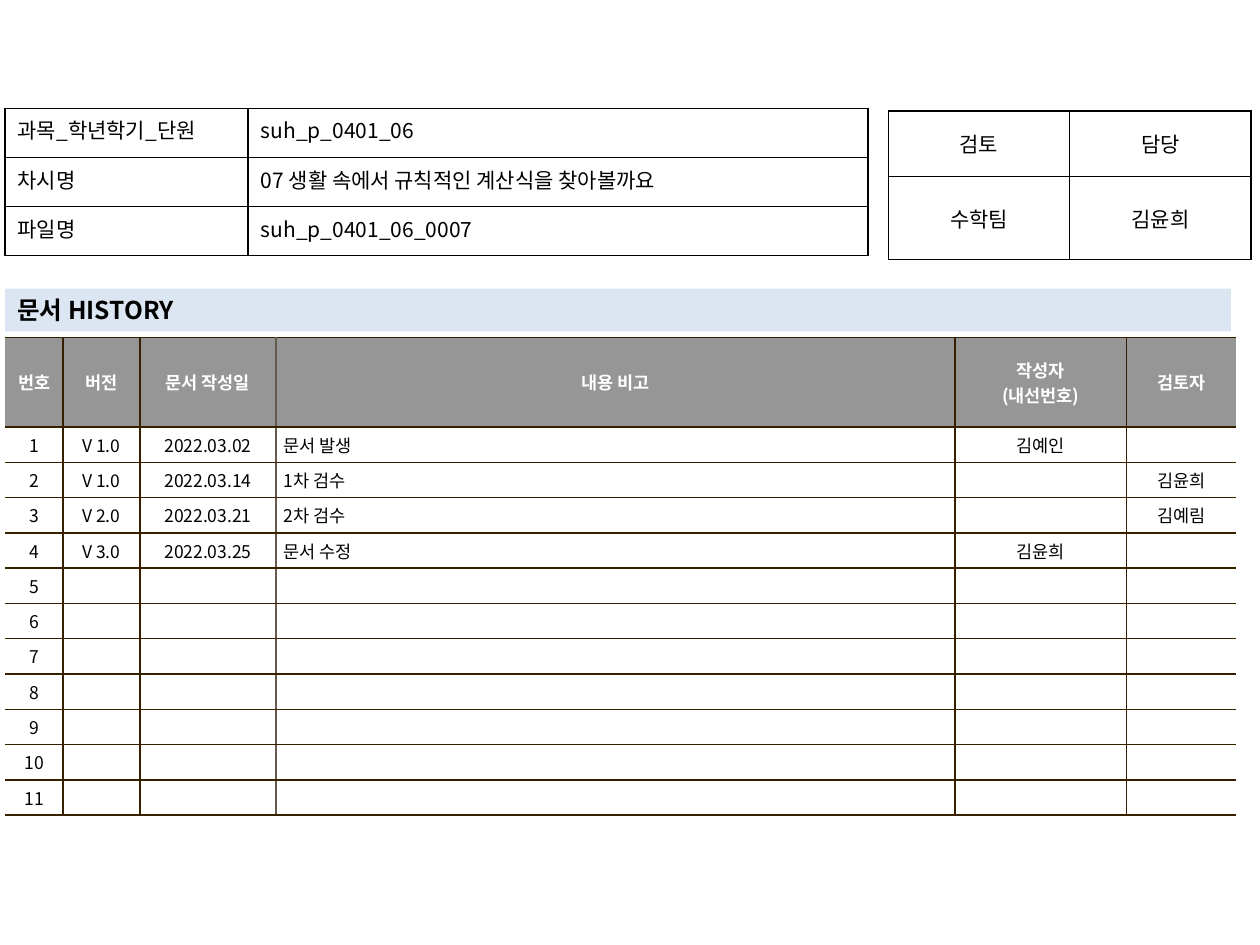
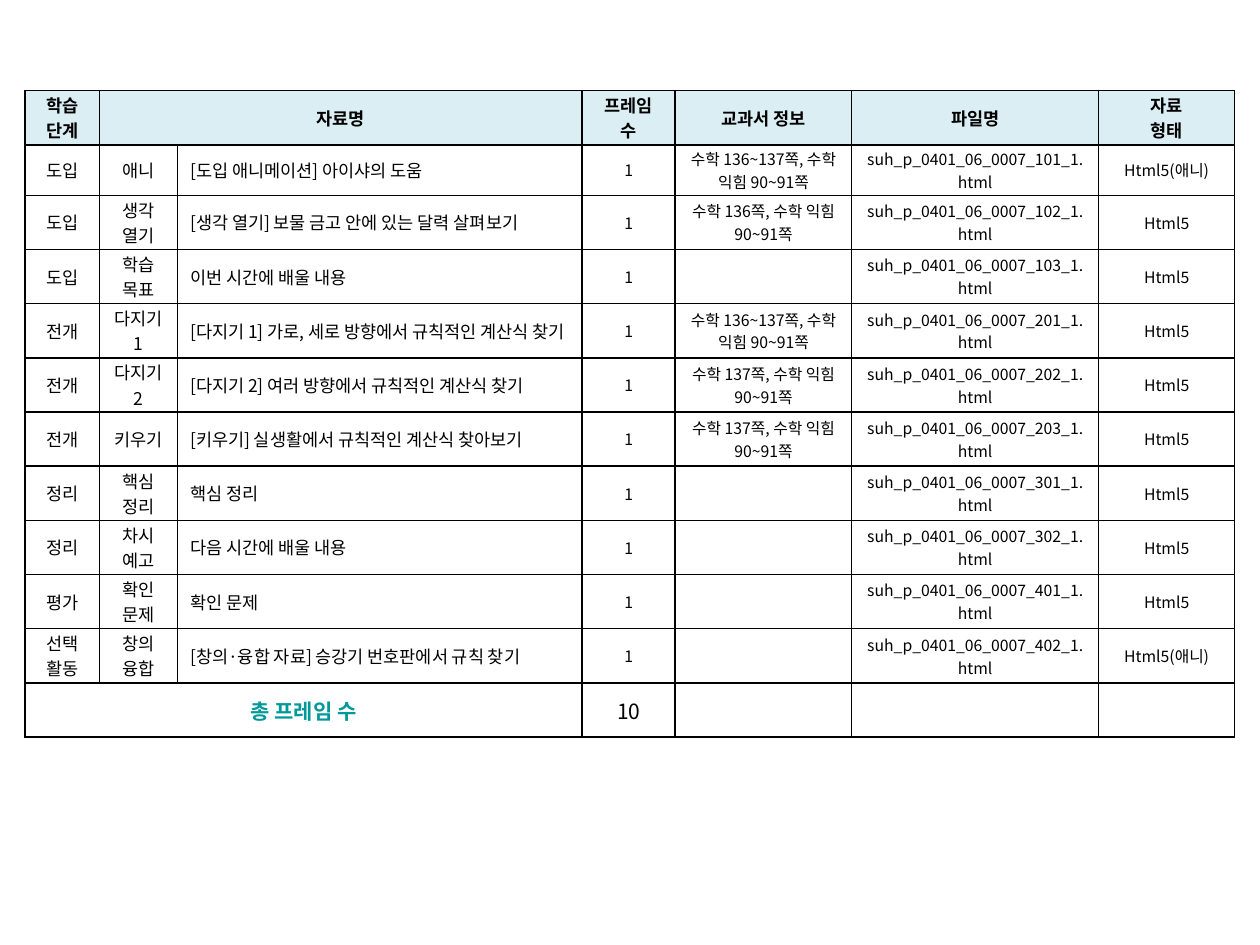
from lxml import etree
from pptx import Presentation
from pptx.dml.color import RGBColor
from pptx.enum.shapes import MSO_SHAPE
from pptx.enum.text import MSO_ANCHOR, PP_ALIGN
from pptx.oxml.ns import qn
from pptx.util import Inches, Pt

LEFT, CENTER, JUSTIFY = PP_ALIGN.LEFT, PP_ALIGN.CENTER, PP_ALIGN.JUSTIFY
TOP, MIDDLE = MSO_ANCHOR.TOP, MSO_ANCHOR.MIDDLE
RECTANGLE = MSO_SHAPE.RECTANGLE

FONT = "Noto Sans CJK KR"
BLACK = RGBColor(0x00, 0x00, 0x00)
WHITE = RGBColor(0xFF, 0xFF, 0xFF)
GREY = RGBColor(0x96, 0x96, 0x96)
BROWN = RGBColor(0x36, 0x20, 0x00)
LIGHT_BROWN = RGBColor(0x64, 0x5B, 0x4C)
PALE_BLUE = RGBColor(0xDC, 0xE6, 0xF2)
PALE_TEAL = RGBColor(0xDB, 0xEE, 0xF4)
TEAL = RGBColor(0x00, 0x99, 0x99)

LESSON_INFO = [
    ["과목_학년학기_단원", "suh_p_0401_06"],
    ["차시명", "07 생활 속에서 규칙적인 계산식을 찾아볼까요"],
    ["파일명", "suh_p_0401_06_0007"],
]
REVIEWERS = [["검토", "담당"], ["수학팀", "김윤희"]]
HISTORY_HEAD = ["번호", "버전", "문서 작성일", "내용 비고", "작성자\n(내선번호)", "검토자"]
HISTORY = [
    ["V 1.0", "2022.03.02", "문서 발생", "김예인", ""],
    ["V 1.0", "2022.03.14", "1차 검수", "", "김윤희"],
    ["V 2.0", "2022.03.21", "2차 검수", "", "김예림"],
    ["V 3.0", "2022.03.25", "문서 수정", "김윤희", ""],
]
HISTORY_ROWS = 11

FRAME_HEAD = ["학습 단계", "자료명", "", "프레임 수", "교과서 정보", "파일명", "자료\n형태"]
WORKBOOK = "수학 익힘 90~91쪽"
FRAMES = [
    ("도입", "애니", "[도입 애니메이션] 아이샤의 도움", "136~137", 101, "Html5(애니)"),
    ("도입", "생각 열기", "[생각 열기] 보물 금고 안에 있는 달력 살펴보기", "136", 102, "Html5"),
    ("도입", "학습 목표", "이번 시간에 배울 내용", "", 103, "Html5"),
    ("전개", "다지기 1", "[다지기 1] 가로, 세로 방향에서 규칙적인 계산식 찾기", "136~137", 201, "Html5"),
    ("전개", "다지기 2", "[다지기 2] 여러 방향에서 규칙적인 계산식 찾기", "137", 202, "Html5"),
    ("전개", "키우기", "[키우기] 실생활에서 규칙적인 계산식 찾아보기", "137", 203, "Html5"),
    ("정리", "핵심 정리", "핵심 정리", "", 301, "Html5"),
    ("정리", "차시 예고", "다음 시간에 배울 내용", "", 302, "Html5"),
    ("평가", "확인 문제", "확인 문제", "", 401, "Html5"),
    ("선택 활동", "창의 융합", "[창의·융합 자료] 승강기 번호판에서 규칙 찾기", "", 402, "Html5(애니)"),
]


def write_text(frame, text, align=LEFT, **font):
    frame.text = text
    values = {"name": FONT, "size": 12, "bold": False, "color": BLACK, **font}
    color = values.pop("color")
    values["size"] = Pt(values["size"])
    for para in frame.paragraphs:
        para.alignment = align
        if not para.runs:
            para._p.get_or_add_endParaRPr().set("sz", str(values["size"].centipoints))
        for span in para.runs:
            for name, value in values.items():
                setattr(span.font, name, value)
            span.font.color.rgb = color
            east_asian = etree.SubElement(span._r.get_or_add_rPr(), qn("a:ea"))
            east_asian.set("typeface", FONT)


def set_borders(cell, colors):
    properties = cell._tc.get_or_add_tcPr()
    for side, color in zip("LRTB", colors):
        line = etree.SubElement(properties, qn("a:ln" + side), w=str(Pt(1)))
        if color is None:
            etree.SubElement(line, qn("a:noFill"))
        else:
            fill = etree.SubElement(line, qn("a:solidFill"))
            etree.SubElement(fill, qn("a:srgbClr"), val=str(color))


def format_cell(cell, text, margins=(0.1, 0.05), anchor=MIDDLE, fill=None,
                borders=(BLACK,) * 4, **style):
    side, edge = map(Inches, margins)
    layout = {"margin_left": side, "margin_right": side, "margin_top": edge,
              "margin_bottom": edge, "vertical_anchor": anchor}
    for name, value in layout.items():
        setattr(cell, name, value)
    set_borders(cell, borders)
    if fill is None:
        cell.fill.background()
    else:
        cell.fill.solid()
        cell.fill.fore_color.rgb = fill
    write_text(cell.text_frame, text, **style)


def add_grid(page, left, top, widths, heights, rows, style_of):
    box = page.shapes.add_table(len(heights), len(widths), Inches(left), Inches(top),
                                Inches(sum(widths)), Inches(sum(heights)))
    table = box.table
    table.first_row = table.horz_banding = False
    for column, width in zip(table.columns, widths):
        column.width = Inches(width)
    for row, height in zip(table.rows, heights):
        row.height = Inches(height)
    for r, texts in enumerate(rows):
        for c, text in enumerate(texts):
            format_cell(table.cell(r, c), text, **style_of(r, c))
    return table


def add_band(page, text):
    band = page.shapes.add_shape(RECTANGLE, Inches(0.04), Inches(2.29), Inches(9.73), Inches(0.34))
    band.shadow.inherit = False
    band.fill.solid()
    band.fill.fore_color.rgb = PALE_BLUE
    band.line.fill.background()
    band.text_frame.word_wrap = True
    band.text_frame.vertical_anchor = MIDDLE
    write_text(band.text_frame, text, size=14, bold=True)


def info_style(r, c):
    return {"anchor": TOP, "align": LEFT if c else JUSTIFY}


def reviewer_style(r, c):
    return {"align": CENTER}


def history_style(r, c):
    last = len(HISTORY_HEAD) - 1
    edges = [None, BROWN, BROWN, LIGHT_BROWN, BROWN, BROWN, None]
    style = {"margins": (0.06, 0.04), "size": 10, "fill": WHITE,
             "align": LEFT if r and c == 3 else CENTER,
             "borders": (edges[c], edges[c + 1] if c < last else None, BROWN, BROWN)}
    if r == 0:
        style.update(fill=GREY, color=WHITE, bold=True)
    return style


def frame_style(r, c):
    style = {"margins": (0.1, 0.01), "align": CENTER, "size": 10 if c < 3 else 9}
    if r == 0:
        style.update(size=10, bold=True, fill=PALE_TEAL)
    elif r > len(FRAMES):
        style.update(size=12)
        if c == 0:
            style.update(bold=True, color=TEAL)
    elif c == 2:
        style.update(align=LEFT)
    return style


def build_history_page(page):
    blank = [""] * (len(HISTORY_HEAD) - 1)
    entries = HISTORY + [blank] * (HISTORY_ROWS - len(HISTORY))
    rows = [HISTORY_HEAD] + [[str(n), *entry] for n, entry in enumerate(entries, 1)]
    add_grid(page, 0.04, 2.68, [0.46, 0.61, 1.08, 5.39, 1.36, 0.87],
             [0.71] + [0.25] * HISTORY_ROWS, rows, history_style)
    add_grid(page, 7.05, 0.88, [1.44] * 2, [0.52, 0.66], REVIEWERS, reviewer_style)
    add_band(page, "문서 HISTORY")
    add_grid(page, 0.04, 0.86, [1.93, 4.92], [0.39] * 3, LESSON_INFO, info_style)


def build_frames_page(page):
    rows = [FRAME_HEAD]
    for stage, part, title, pages, code, kind in FRAMES:
        textbook = f"수학 {pages}쪽, {WORKBOOK}" if pages else ""
        rows.append([stage, part, title, "1", textbook,
                     f"suh_p_0401_06_0007_{code}_1.html", kind])
    rows.append(["총 프레임 수", "", "", str(len(FRAMES)), "", "", ""])
    heights = [0.43, 0.4] + [0.43] * len(FRAMES)
    table = add_grid(page, 0.2, 0.72, [0.59, 0.62, 3.21, 0.74, 1.4, 1.96, 1.08],
                     heights, rows, frame_style)
    last = len(rows) - 1
    table.cell(0, 1).merge(table.cell(0, 2))
    table.cell(last, 0).merge(table.cell(last, 2))


def main():
    deck = Presentation()
    deck.slide_width, deck.slide_height = Inches(10), Inches(7.5)
    for build in (build_history_page, build_frames_page):
        build(deck.slides.add_slide(deck.slide_layouts[6]))
    deck.save("out.pptx")


main()
